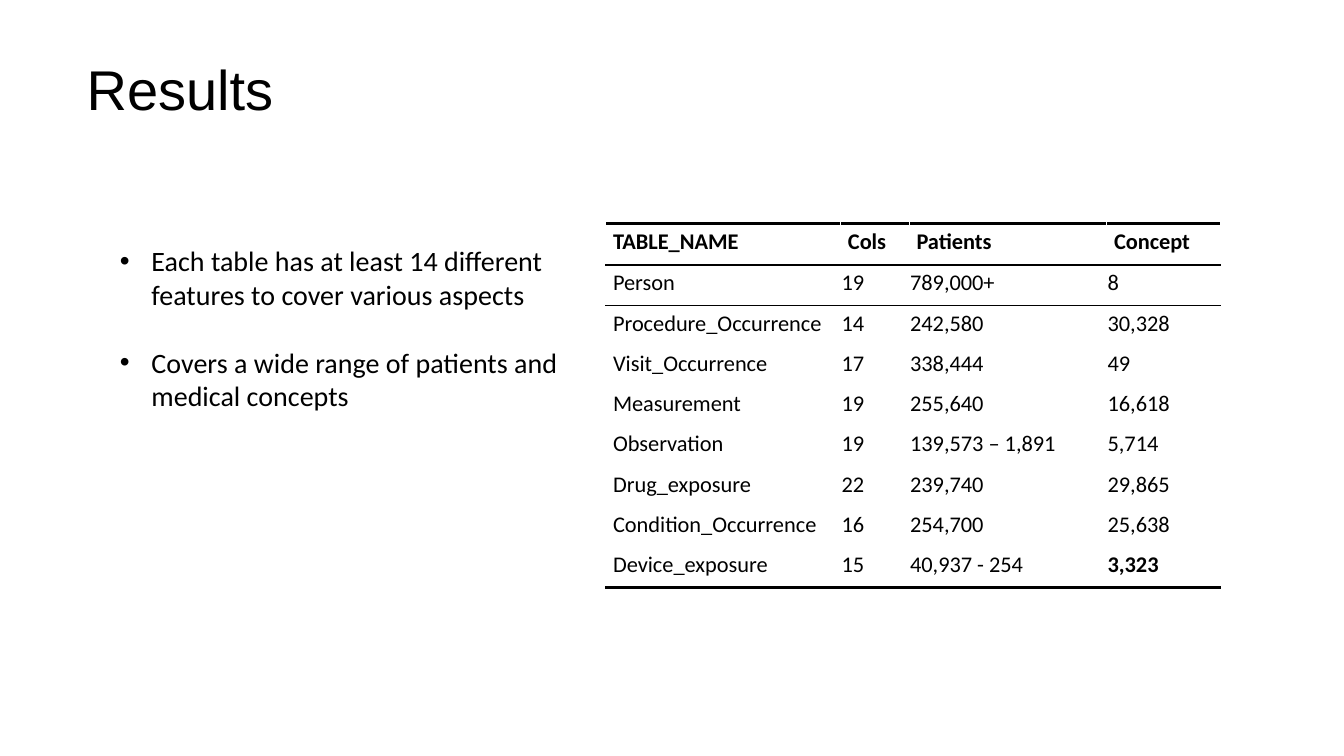
from lxml import etree
from pptx import Presentation
from pptx.dml.color import RGBColor
from pptx.enum import text as t
from pptx.oxml import ns
from pptx.util import Pt


def color(hex_string):
    return RGBColor.from_string(hex_string)


def add_element(parent, tag, **attributes):
    return etree.SubElement(parent, ns.qn(tag), attributes)


BLACK, WHITE = "000000", "FFFFFF"
prs = Presentation()
prs.slide_width, prs.slide_height = Pt(960), Pt(540)
slide = prs.slides.add_slide(prs.slide_layouts[1])

# Title
title = slide.shapes.title
title.left, title.top, title.width, title.height = Pt(53.3), Pt(20.2), Pt(189.4), Pt(59.8)
heading = title.text_frame
heading.text = "Results"
heading.vertical_anchor = t.MSO_ANCHOR.MIDDLE
heading.auto_size = t.MSO_AUTO_SIZE.NONE
heading.margin_left = heading.margin_top = heading.margin_right = Pt(8.6)
heading.margin_bottom = Pt(7.2)
line = heading.paragraphs[0]
line.alignment = t.PP_ALIGN.LEFT
line.line_spacing = 1.5
line.font.name, line.font.size = "Arial", Pt(40)
line.font.color.rgb = color(BLACK)

# Findings
findings = slide.placeholders[1]
findings.left, findings.top, findings.width, findings.height = Pt(78.5), Pt(170.6), Pt(342.7), Pt(150.5)
body = findings.text_frame
body.text = ("Each table has at least 14 different features to cover various aspects\n"
             "Covers a wide range of patients and medical concepts")
body.auto_size = t.MSO_AUTO_SIZE.NONE
body.vertical_anchor = t.MSO_ANCHOR.TOP
for finding, gap in zip(body.paragraphs, (0, 24.4)):
    properties = finding._p.get_or_add_pPr()
    properties.set("marL", str(Pt(22.5)))
    properties.set("indent", str(Pt(-22.5)))
    add_element(properties, "a:buFont", typeface="Arial")
    add_element(properties, "a:buChar", char="•")
    finding.space_before = Pt(gap)
    finding.font.name, finding.font.size = "Calibri", Pt(20)
    finding.font.color.rgb = color(BLACK)

# Table summary
records = [
    ("TABLE_NAME", "Cols", "Patients", "Concept"),
    ("Person", "19", "789,000+", "8"),
    ("Procedure_Occurrence", "14", "242,580", "30,328"),
    ("Visit_Occurrence", "17", "338,444", "49"),
    ("Measurement", "19", "255,640", "16,618"),
    ("Observation", "19", "139,573 – 1,891", "5,714"),
    ("Drug_exposure", "22", "239,740", "29,865"),
    ("Condition_Occurrence", "16", "254,700", "25,638"),
    ("Device_exposure", "15", "40,937 - 254", "3,323"),
]
column_widths = (167.8, 49, 141.1, 81.4)
rule_widths = {0: 2, 1: 1, 2: 1, len(records): 2}  # keyed by the row below the rule
summary = slide.shapes.add_table(len(records), len(column_widths), Pt(432.7), Pt(159.8),
                                 Pt(sum(column_widths)), Pt(260)).table
summary.first_row = summary.horz_banding = False
for column, width in zip(summary.columns, column_widths):
    column.width = Pt(width)

for r, record in enumerate(records):
    summary.rows[r].height = Pt(29.5 if r == 0 else 28.8)
    for c, value in enumerate(record):
        cell = summary.cell(r, c)
        cell.text = value
        cell.vertical_anchor = t.MSO_ANCHOR.MIDDLE
        indented = r == 0 or c == 0
        cell.margin_left, cell.margin_right = (Pt(5.2), Pt(0.6)) if indented else (Pt(0.6), Pt(5.2))
        cell.margin_top, cell.margin_bottom = Pt(0.6), Pt(3.6)
        for tag, edge in (("a:lnT", r), ("a:lnB", r + 1)):
            border = add_element(cell._tc.get_or_add_tcPr(), tag, w=str(Pt(rule_widths.get(edge, 0))))
            if edge in rule_widths:
                add_element(add_element(border, "a:solidFill"), "a:srgbClr", val=BLACK)
            else:
                add_element(border, "a:noFill")
        cell.fill.solid()
        cell.fill.fore_color.rgb = color(WHITE)
        font = cell.text_frame.paragraphs[0].font
        font.name, font.size = "Calibri", Pt(16)
        font.bold = r == 0 or value == "3,323"
        font.color.rgb = color(BLACK)

prs.save("out.pptx")
